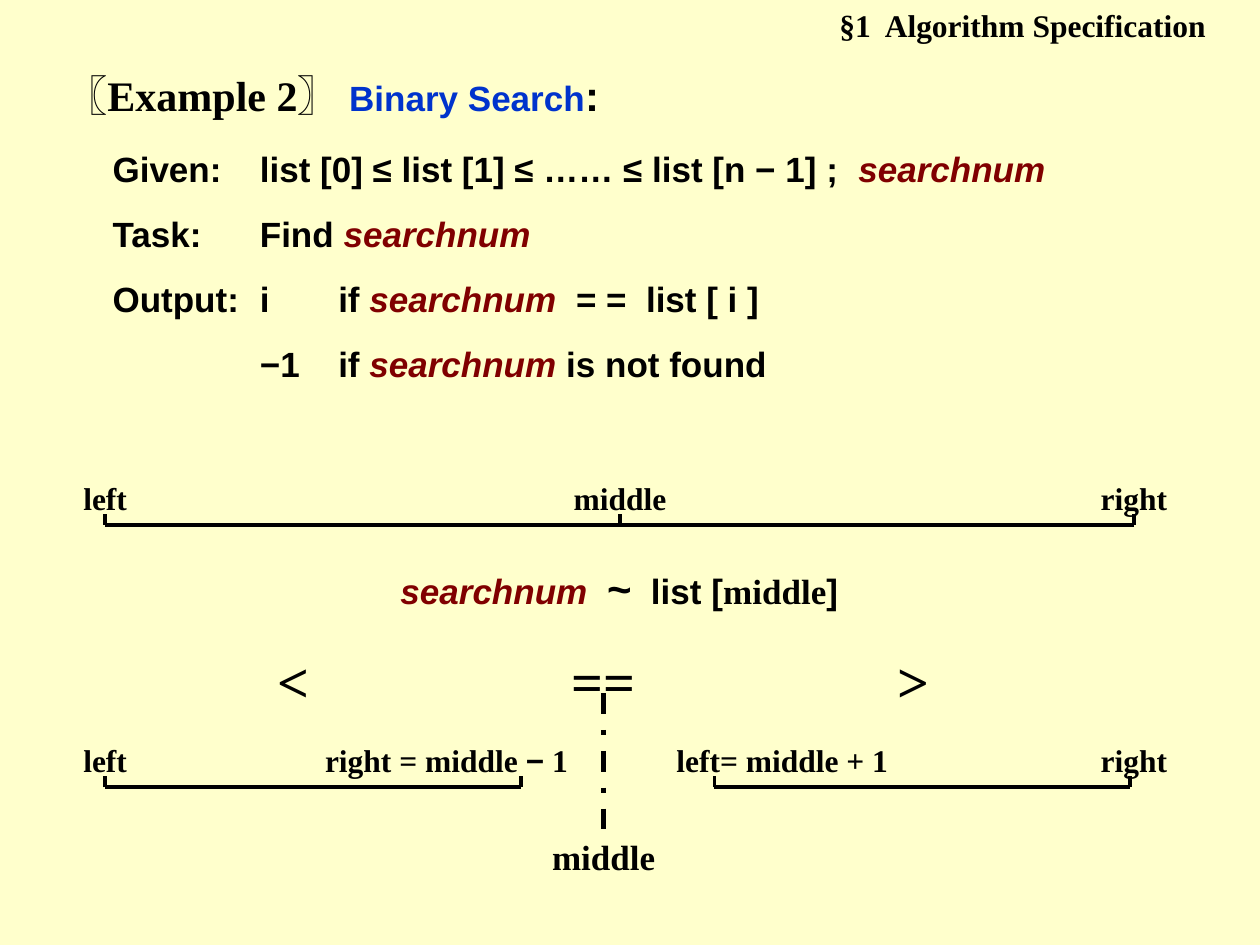
from dataclasses import dataclass

from lxml import etree
from pptx import Presentation
from pptx.dml.color import RGBColor
from pptx.enum.dml import MSO_LINE
from pptx.enum.shapes import MSO_CONNECTOR
from pptx.enum.text import MSO_ANCHOR, MSO_AUTO_SIZE, PP_ALIGN
from pptx.oxml.ns import qn
from pptx.util import Cm, Pt

STRAIGHT = MSO_CONNECTOR.STRAIGHT
DASH_DOT = MSO_LINE.DASH_DOT
TOP = MSO_ANCHOR.TOP
NO_FIT = MSO_AUTO_SIZE.NONE
LEFT, CENTER = PP_ALIGN.LEFT, PP_ALIGN.CENTER


@dataclass(frozen=True)
class Theme:
    background: str = "FFFFCC"
    ink: str = "000000"
    topic: str = "0033CC"
    variable: str = "800000"
    serif: str = "Times New Roman"
    sans: str = "Arial"
    label: int = 18
    body: int = 20
    heading: int = 24
    relation: int = 32
    bar: int = 2
    divider: int = 3


T = Theme()


@dataclass(frozen=True)
class Style:
    size: int = T.body
    font: str = T.sans
    color: str = T.ink
    italic: bool = False


BODY = Style()
VARIABLE = Style(color=T.variable, italic=True)
TOPIC = Style(color=T.topic)
HEADING = Style(T.heading, T.serif)
LARGE = Style(T.heading)
LABEL = Style(T.label, T.serif)
LABEL_SANS = Style(T.label)
RELATION = Style(T.relation, T.serif)
RESULT = Style(T.body, T.serif)


def format_run(r, style):
    f = r.font
    f.name, f.size = style.font, Pt(style.size)
    f.bold, f.italic = True, style.italic
    f.color.rgb = RGBColor.from_string(style.color)


def fill_paragraph(p, pieces, align=CENTER):
    """Write (text, style) pieces as the runs of one paragraph."""
    p.alignment = align
    for text, style in pieces:
        r = p.add_run()
        r.text = text
        format_run(r, style)


def prepare_frame(tf):
    tf.word_wrap = True
    tf.auto_size = NO_FIT
    tf.vertical_anchor = TOP
    tf.margin_left = tf.margin_right = 0
    tf.margin_top = tf.margin_bottom = Cm(0.13)


def add_text(shapes, left, top, width, height, *pieces):
    sp = shapes.add_textbox(Cm(left), Cm(top), Cm(width), Cm(height))
    prepare_frame(sp.text_frame)
    fill_paragraph(sp.text_frame.paragraphs[0], pieces)


def add_line(shapes, x1, y1, x2, y2, width=T.bar, dash=None):
    line = shapes.add_connector(STRAIGHT, Cm(x1), Cm(y1), Cm(x2), Cm(y2))
    line.line.color.rgb = RGBColor.from_string(T.ink)
    line.line.width = Pt(width)
    if dash is not None:
        line.line.dash_style = dash
    etree.SubElement(line._element.spPr, qn("a:effectLst"))


def add_tabs(p, stops):
    tabs = etree.SubElement(p._p.get_or_add_pPr(), qn("a:tabLst"))
    for stop in stops:
        etree.SubElement(tabs, qn("a:tab"), pos=str(Cm(stop)), algn="l")


def section_title(s, left, top, width, height):
    sp = s.shapes.title
    sp.left, sp.top, sp.width, sp.height = Cm(left), Cm(top), Cm(width), Cm(height)
    tf = sp.text_frame
    tf.text = "§1  Algorithm Specification"
    prepare_frame(tf)
    p = tf.paragraphs[0]
    p.alignment = LEFT
    format_run(p.runs[0], LABEL)


def problem_statement(s, left, top, width, height):
    lines = [
        (0, [("〖Example 2〗 ", HEADING), ("Binary Search", TOPIC), (":", LARGE)]),
        (16, [("\tGiven:\tlist [0] ≤ list [1] ≤ …… ≤ list [n − 1] ;  ", BODY),
              ("searchnum", VARIABLE)]),
        (13, [("\tTask:\tFind ", BODY), ("searchnum", VARIABLE)]),
        (13, [("\tOutput:\ti\tif ", BODY), ("searchnum  ", VARIABLE),
              ("= =  list [ i ]", BODY)]),
        (13, [("\t\t−1\tif ", BODY), ("searchnum", VARIABLE),
              (" is not found", BODY)]),
    ]
    sp = s.shapes.add_textbox(Cm(left), Cm(top), Cm(width), Cm(height))
    tf = sp.text_frame
    prepare_frame(tf)
    for i, (gap, pieces) in enumerate(lines):
        p = tf.paragraphs[0] if i == 0 else tf.add_paragraph()
        if gap:
            p.space_before = Pt(gap)
            add_tabs(p, (0.95, 3.92, 5.5))
        fill_paragraph(p, pieces, LEFT)


def search_range(s, left, top, width, height, ticks, labels):
    """Draw a bar with upward ticks; labels are (centre, width, pieces)."""
    shapes = s.shapes.add_group_shape().shapes
    bar = top + height
    add_line(shapes, left, bar, left + width, bar)
    for x in ticks:
        add_line(shapes, left + x, bar, left + x, bar - 0.22)
    for centre, label_width, pieces in labels:
        add_text(shapes, left + centre - label_width / 2, top,
                 label_width, 1.02, *pieces)


def comparison(s, left, top, width, height):
    """Place the compared values, the three relations and the found index."""
    middle = left + width / 2
    add_text(s.shapes, middle - 4.45, top, 9.53, 1.27,
             ("searchnum  ", VARIABLE), ("~", LARGE), ("  list [", BODY),
             ("middle", RESULT), ("]", BODY))
    for x, sign in ((left, "<"), (middle - 1.27, "=="), (left + width - 2.54, ">")):
        add_text(s.shapes, x, top + 1.69, 2.54, 1.63, (sign, RELATION))
    bottom = top + height
    add_line(s.shapes, middle, top + 2.75, middle, bottom - 1.12, T.divider, DASH_DOT)
    add_text(s.shapes, middle - 1.27, bottom - 1.12, 2.54, 1.12, ("middle", RESULT))


def main():
    prs = Presentation()
    prs.slide_width, prs.slide_height = Cm(25.4), Cm(19.05)
    s = prs.slides.add_slide(prs.slide_layouts[5])
    s.background.fill.solid()
    s.background.fill.fore_color.rgb = RGBColor.from_string(T.background)

    section_title(s, 16.92, 0, 8.46, 1.02)
    problem_statement(s, 1.32, 1.27, 22.8, 6.6)

    left_label, right_label = [("left", LABEL)], [("right", LABEL)]
    search_range(s, 2.12, 9.52, 20.74, 1.06, (0, 10.38, 20.74), [
        (0, 1.7, left_label),
        (10.38, 2.2, [("middle", LABEL)]),
        (20.74, 1.7, right_label)])
    comparison(s, 4.65, 11.22, 15.04, 6.62)
    search_range(s, 2.12, 14.81, 8.38, 1.06, (0, 8.38), [
        (0, 1.7, left_label),
        (6.88, 5.3, [("right = middle ", LABEL), ("−", LABEL_SANS), (" 1", LABEL)])])
    search_range(s, 14.4, 14.81, 8.38, 1.06, (0, 8.38), [
        (1.37, 5.3, [("left= middle + 1", LABEL)]),
        (8.46, 1.7, right_label)])
    prs.save("out.pptx")


if __name__ == "__main__":
    main()
